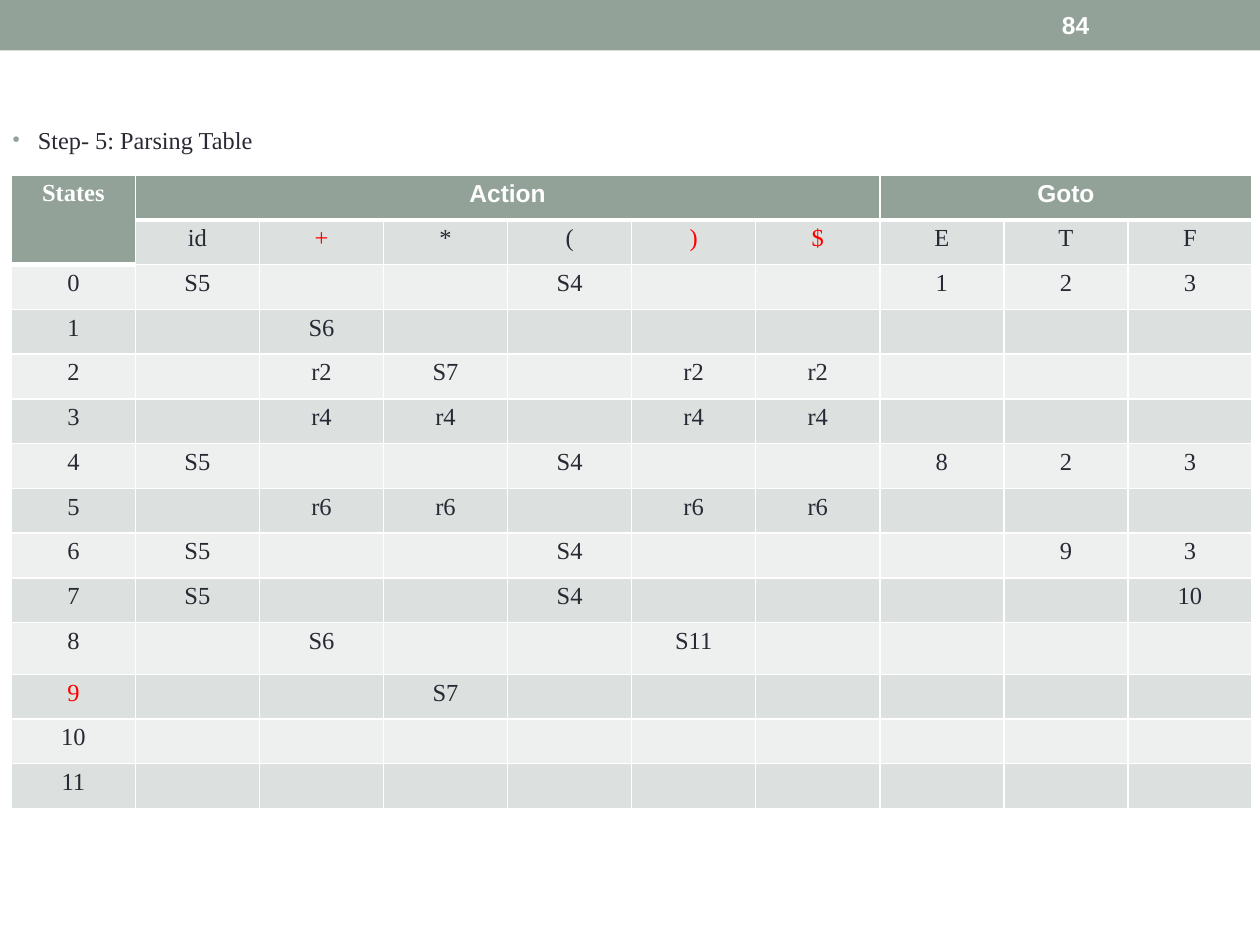
from lxml import etree
from pptx import Presentation
from pptx.dml.color import RGBColor
from pptx.enum.shapes import MSO_SHAPE
from pptx.enum.text import MSO_ANCHOR, MSO_AUTO_SIZE, PP_ALIGN
from pptx.oxml.ns import qn
from pptx.util import Inches, Pt

RECT = MSO_SHAPE.RECTANGLE
MIDDLE = MSO_ANCHOR.MIDDLE
TOP = MSO_ANCHOR.TOP
FIXED = MSO_AUTO_SIZE.NONE
CENTER = PP_ALIGN.CENTER

SAGE, WHITE, INK, RED = "93A299", "FFFFFF", "292934", "FF0000"
BANDS = ("EEF0EF", "DCE0DE")
SERIF, SANS = "Times New Roman", "Arial"
HEADS = {0: ("States", 2, 1, SERIF), 1: ("Action", 1, 6, SANS), 7: ("Goto", 1, 3, SANS)}
REDS = {(1, 2), (1, 5), (1, 6), (11, 0)}
GRID = """
- id + * ( ) $ E T F
0 S5 - - S4 - - 1 2 3
1 - S6 - - - - - - -
2 - r2 S7 - r2 r2 - - -
3 - r4 r4 - r4 r4 - - -
4 S5 - - S4 - - 8 2 3
5 - r6 r6 - r6 r6 - - -
6 S5 - - S4 - - - 9 3
7 S5 - - S4 - - - - 10
8 - S6 - - S11 - - - -
9 - - S7 - - - - - -
10 - - - - - - - - -
11 - - - - - - - - -
"""


def color(code):
    """Turn a hex string into a colour."""
    return RGBColor.from_string(code)


def node(parent, tag, **attrs):
    """Append a drawing element with the given attributes."""
    return etree.SubElement(parent, qn(f"a:{tag}"), attrs)


class Deck:
    """Hold the text style and the current slide."""

    def __init__(self):
        """Open a deck with one slide that has a body placeholder."""
        self.deck = Presentation()
        self.deck.slide_width, self.deck.slide_height = Inches(10), Inches(7.5)
        self.slide = self.deck.slides.add_slide(self.deck.slide_layouts[1])
        title = self.slide.shapes.title.element
        title.getparent().remove(title)
        self.style = {"size": Pt(14), "name": SERIF, "bold": False}

    def words(self, para, text, tint=INK, **extra):
        """Add a run of text in the deck's style."""
        run = para.add_run()
        run.text = text
        for key, value in {**self.style, **extra}.items():
            setattr(run.font, key, value)
        run.font.color.rgb = color(tint)

    def bar(self, box, fill):
        """Draw a plain filled bar."""
        shape = self.slide.shapes.add_shape(RECT, *map(Inches, box))
        shape.shadow.inherit = False
        shape.fill.solid()
        shape.fill.fore_color.rgb = color(fill)
        shape.line.fill.background()

    def label(self, box, text, tint, **extra):
        """Place a line of text, centred in height."""
        frame = self.slide.shapes.add_textbox(*map(Inches, box)).text_frame
        frame.word_wrap = True
        frame.vertical_anchor = MIDDLE
        self.words(frame.paragraphs[0], text, tint, **extra)

    def bullet(self, box, text):
        """Fill the body placeholder with one bulleted line."""
        body = self.slide.placeholders[1]
        body.left, body.top, body.width, body.height = map(Inches, box)
        frame = body.text_frame
        frame.word_wrap, frame.auto_size, frame.vertical_anchor = True, FIXED, TOP
        para = frame.paragraphs[0]
        props = para._p.get_or_add_pPr()
        props.set("marL", str(Inches(0.2)))
        props.set("indent", str(Inches(-0.2)))
        node(node(props, "buClr"), "srgbClr", val=SAGE)
        node(props, "buSzPct", val="85000")
        node(props, "buFont", typeface=SANS)
        node(props, "buChar", char="•")
        para.space_before = Pt(0)
        self.words(para, text, size=Pt(13.9))

    def edges(self, cell, thick):
        """Rule a cell in white, with heavier lines on the thick sides."""
        props = cell._tc.get_or_add_tcPr()
        for side in "LRTB":
            width = Pt(3 if side in thick else 1)
            line = node(props, f"ln{side}", w=str(width))
            node(node(line, "solidFill"), "srgbClr", val=WHITE)

    def cell(self, cell, text, fill, thick="", **extra):
        """Format one table cell and its text."""
        self.edges(cell, thick)
        cell.fill.solid()
        cell.fill.fore_color.rgb = color(fill)
        cell.margin_left = cell.margin_right = Inches(0.07)
        cell.margin_top = cell.margin_bottom = Inches(0.04)
        para = cell.text_frame.paragraphs[0]
        para.alignment = CENTER
        if text:
            self.words(para, text, **extra)
        else:
            node(para._p, "endParaRPr", sz="1400")

    def table(self, box, rows):
        """Build the parsing table under its merged heads."""
        cols = len(rows[0])
        frame = self.slide.shapes.add_table(len(rows) + 1, cols, *map(Inches, box))
        table = frame.table
        for col in table.columns:
            col.width = Inches(box[2] / cols)
        for num, row in enumerate(table.rows):
            row.height = Inches(0.41 if num == 10 else (box[3] - 0.41) / len(rows))
        for left, (_, down, wide, _) in HEADS.items():
            table.cell(0, left).merge(table.cell(down - 1, left + wide - 1))
        for col in range(cols):
            text, _, _, face = HEADS.get(col, ("", 1, 1, SANS))
            self.cell(table.cell(0, col), text, SAGE, "B", tint=WHITE, name=face, bold=True)
        for num, row in enumerate(rows, 1):
            for col, text in enumerate(row):
                head = num == 1 and col == 0
                thick = "B" if head else "T" if num == 1 or (num, col) == (2, 0) else ""
                self.cell(table.cell(num, col), "" if text == "-" else text,
                          SAGE if head else BANDS[num % 2], thick,
                          tint=RED if (num, col) in REDS else INK)


def main():
    """Build the slide and save it."""
    deck = Deck()
    deck.bar((0, 0, 10, 0.4), SAGE)
    deck.bullet((0, 0.94, 2.22, 0.42), "Step- 5: Parsing Table")
    deck.label((8.33, 0.02, 1.17, 0.36), "84", WHITE, name=SANS, bold=True)
    deck.table((0.09, 1.39, 9.85, 5.03), [line.split() for line in GRID.strip().splitlines()])
    deck.deck.save("out.pptx")


if __name__ == "__main__":
    main()
